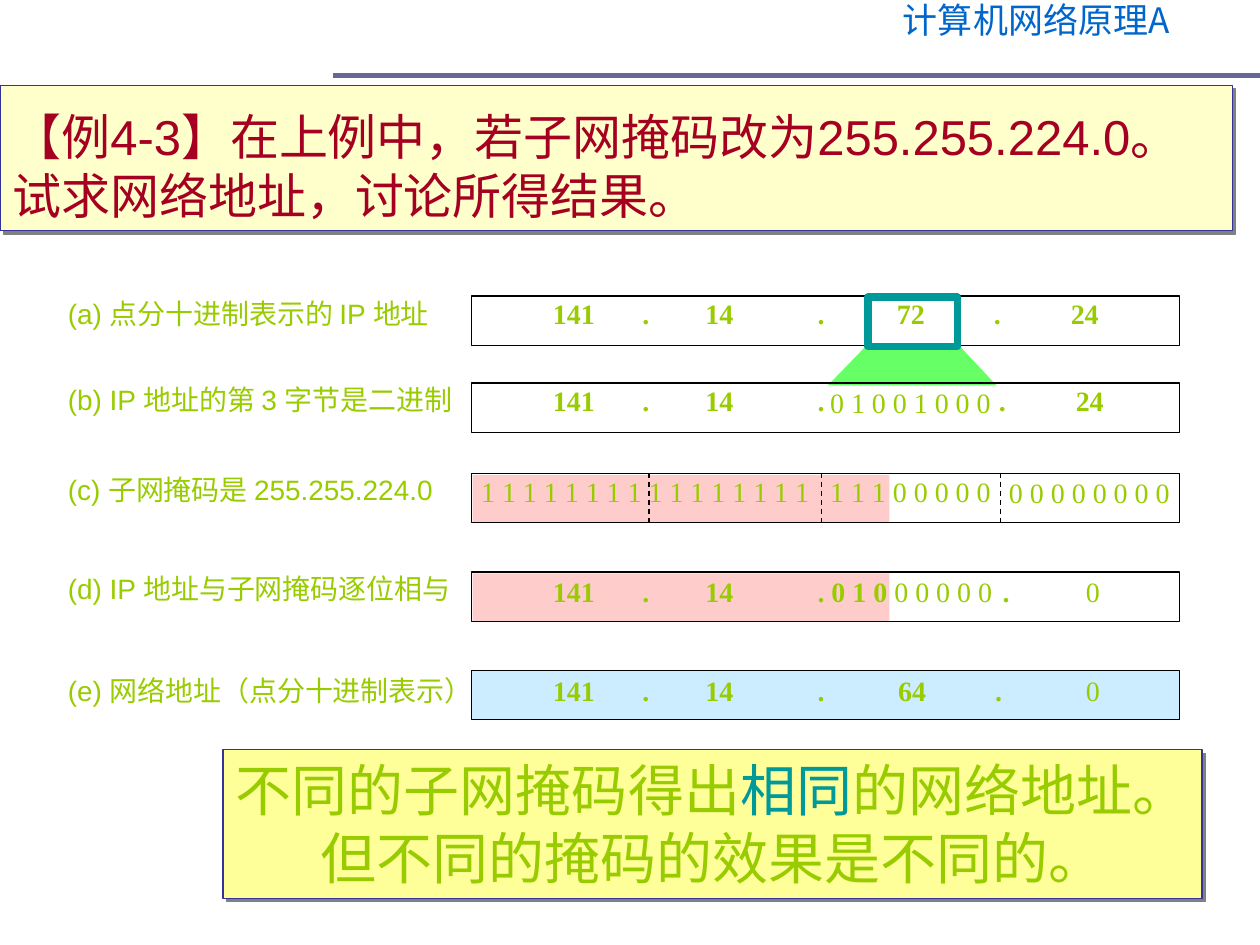
from lxml import etree
from pptx import Presentation
from pptx.dml.color import RGBColor
from pptx.enum.dml import MSO_LINE
from pptx.enum.shapes import MSO_CONNECTOR, MSO_SHAPE
from pptx.enum.text import MSO_ANCHOR, MSO_AUTO_SIZE, PP_ALIGN
from pptx.oxml.ns import qn
from pptx.util import Inches, Pt

RECT = MSO_SHAPE.RECTANGLE
STRAIGHT = MSO_CONNECTOR.STRAIGHT
DASH = MSO_LINE.DASH
LEFT, CENTER = PP_ALIGN.LEFT, PP_ALIGN.CENTER
BOTTOM, TOP = MSO_ANCHOR.BOTTOM, MSO_ANCHOR.TOP
SANS, SERIF = "Arial", "Times New Roman"

COLORS = {
    "blue": "0066CC", "rule": "666699", "navy": "333399", "red": "A50021",
    "cream": "FFFFCC", "yellow": "FFFF99", "pink": "FFCCCC", "sky": "CCECFF",
    "mint": "66FF66", "lime": "99CC00", "teal": "009999", "black": "000000",
    "gray": "808080",
}
BAR_X, BAR_W, BAR_H = 3.74, 5.62, 0.39
# label, label width, label top, bar top
ROWS = [
    ("(a) 点分十进制表示的 IP 地址", 3.09, 2.36, 2.35),
    ("(b) IP 地址的第 3 字节是二进制", 3.28, 3.04, 3.04),
    ("(c) 子网掩码是 255.255.224.0", 3.11, 3.75, 3.76),
    ("(d) IP 地址与子网掩码逐位相与", 3.25, 4.54, 4.54),
    ("(e) 网络地址（点分十进制表示）", 3.42, 5.35, 5.32),
]
HEAD = "141\t.\t14\t."
HEAD_TABS = (0.71, 1.21, 2.1)


def rgb(name):
    return RGBColor.from_string(COLORS[name])


def style(font, size, face, color, bold=False):
    font.size, font.name, font.bold = Pt(size), face, bold
    font.color.rgb = rgb(color)


def paint(shape, fill=None, line=None, width=0.75):
    shape.shadow.inherit = False
    if fill:
        shape.fill.solid()
        shape.fill.fore_color.rgb = rgb(fill)
    else:
        shape.fill.background()
    if line:
        shape.line.color.rgb = rgb(line)
        shape.line.width = Pt(width)
    else:
        shape.line.fill.background()


def add_rect(slide, x, y, w, h, **look):
    rect = slide.shapes.add_shape(RECT, Inches(x), Inches(y), Inches(w), Inches(h))
    paint(rect, **look)
    return rect


def add_shade(shape):
    """Give a painted shape a hard offset shadow."""
    effects = shape._element.spPr.find(qn("a:effectLst"))
    outer = etree.SubElement(effects, qn("a:outerShdw"), dist=str(Pt(2.8)),
                             dir="2700000", algn="ctr", rotWithShape="0")
    etree.SubElement(outer, qn("a:srgbClr"), val=COLORS["gray"])


def add_line(slide, x1, y1, x2, y2, color, width, dash=None):
    line = slide.shapes.add_connector(
        STRAIGHT, Inches(x1), Inches(y1), Inches(x2), Inches(y2))
    line.line.color.rgb = rgb(color)
    line.line.width = Pt(width)
    if dash:
        line.line.dash_style = dash
    etree.SubElement(line._element.spPr, qn("a:effectLst"))


def add_text(slide, x, y, w, runs, face=SERIF, tabs=()):
    """Add one line of (text, bold) runs with tab stops in inches."""
    box = slide.shapes.add_textbox(Inches(x), Inches(y), Inches(w), Inches(0.37))
    box.text_frame.word_wrap = True
    para = box.text_frame.paragraphs[0]
    para.line_spacing = 0.8
    if tabs:
        stops = etree.SubElement(para._p.get_or_add_pPr(), qn("a:tabLst"))
        for stop in tabs:
            etree.SubElement(stops, qn("a:tab"), pos=str(Inches(stop)), algn="l")
    style(para.font, 16, face, "lime")
    for text, bold in runs:
        run = para.add_run()
        run.text = text
        run.font.bold = bold


def add_header(slide):
    box = slide.shapes.add_textbox(Inches(6.73), 0, Inches(2.99), Inches(0.44))
    box.text_frame.word_wrap = False
    para = box.text_frame.paragraphs[0]
    para.text = "计算机网络原理A"
    para.alignment, para.line_spacing = CENTER, 0.8
    style(para.font, 20, "Noto Sans CJK SC", "blue")
    add_line(slide, 2.64, 0.6, 10, 0.6, "rule", 3)


def set_title(slide):
    title = slide.shapes.title
    title.left, title.top = 0, Inches(0.68)
    title.width, title.height = Inches(9.78), Inches(1.15)
    paint(title, fill="cream", line="navy")
    add_shade(title)
    frame = title.text_frame
    frame.text = "【例4-3】在上例中，若子网掩码改为255.255.224.0。试求网络地址，讨论所得结果。"
    frame.auto_size, frame.word_wrap = MSO_AUTO_SIZE.NONE, True
    frame.vertical_anchor = BOTTOM
    para = frame.paragraphs[0]
    para.alignment = LEFT
    style(para.font, 28, SANS, "red")


def add_funnel(slide):
    points = [(Inches(x), Inches(y)) for x, y in
              ((6.89, 2.73), (7.6, 2.73), (7.91, 3.06), (6.57, 3.06))]
    build = slide.shapes.build_freeform(*points[0])
    build.add_line_segments(points[1:], close=True)
    paint(build.convert_to_shape(), fill="mint")


def add_bars(slide):
    for y in (3.77, 4.55):
        add_rect(slide, 3.75, y, 3.31, 0.38, fill="pink")
    add_funnel(slide)
    for label, width, top, bar in ROWS:
        add_text(slide, 0.44, top, width, [(label, False)], SANS)
        fill = "sky" if label.startswith("(e)") else None
        add_rect(slide, BAR_X, bar, BAR_W, BAR_H, fill=fill, line="black")
    for x in (5.15, 6.52, 7.94):
        add_line(slide, x, 3.75, x, 4.14, "black", 0.75, DASH)


def add_values(slide):
    for y in (2.36, 3.05, 5.35):
        add_text(slide, 4.29, y, 2.37, [(HEAD, True)], tabs=HEAD_TABS)
    add_text(slide, 7.02, 2.36, 1.87, [("72\t.\t24", True)], tabs=(0.77, 1.38))
    add_text(slide, 6.49, 3.06, 1.6, [("0 1 0 0 1 0 0 0", False)])
    add_text(slide, 7.83, 3.05, 1.03, [(".\t24", True)], tabs=(0.61,))
    ones = " ".join("1" * 16)
    add_text(slide, 3.72, 3.77, 4.4, [(ones + "\t1 1 1 0 0 0 0 0", False)],
             tabs=(2.77,))
    add_text(slide, 7.91, 3.78, 1.6, [("0 0 0 0 0 0 0 0", False)])
    add_text(slide, 4.29, 4.56, 3.9,
             [(HEAD + " 0 1 0", True), (" 0 0 0 0 0", False)], tabs=HEAD_TABS)
    add_text(slide, 7.86, 4.56, 0.98, [(".\t", True), ("0", False)], tabs=(0.66,))
    add_text(slide, 7.03, 5.35, 1.81, [("64\t.\t", True), ("0", False)],
             tabs=(0.77, 1.49))
    add_rect(slide, 6.89, 2.36, 0.71, BAR_H, line="teal", width=4.5)


def add_result(slide):
    box = add_rect(slide, 1.77, 5.95, 7.77, 1.18, fill="yellow", line="navy")
    add_shade(box)
    frame = box.text_frame
    frame.word_wrap, frame.vertical_anchor = False, TOP
    lines = [
        [("不同的子网掩码得出", "lime"), ("相同", "teal"), ("的网络地址。", "lime")],
        [("但不同的掩码的效果是不同的。", "lime")],
    ]
    for i, runs in enumerate(lines):
        para = frame.add_paragraph() if i else frame.paragraphs[0]
        para.alignment = CENTER
        style(para.font, 32, "Cabin", "lime")
        for text, color in runs:
            run = para.add_run()
            run.text = text
            run.font.color.rgb = rgb(color)


def main():
    deck = Presentation()
    deck.slide_width, deck.slide_height = Inches(10), Inches(7.5)
    slide = deck.slides.add_slide(deck.slide_layouts[5])
    add_header(slide)
    set_title(slide)
    add_bars(slide)
    add_values(slide)
    add_result(slide)
    deck.save("out.pptx")


if __name__ == "__main__":
    main()
